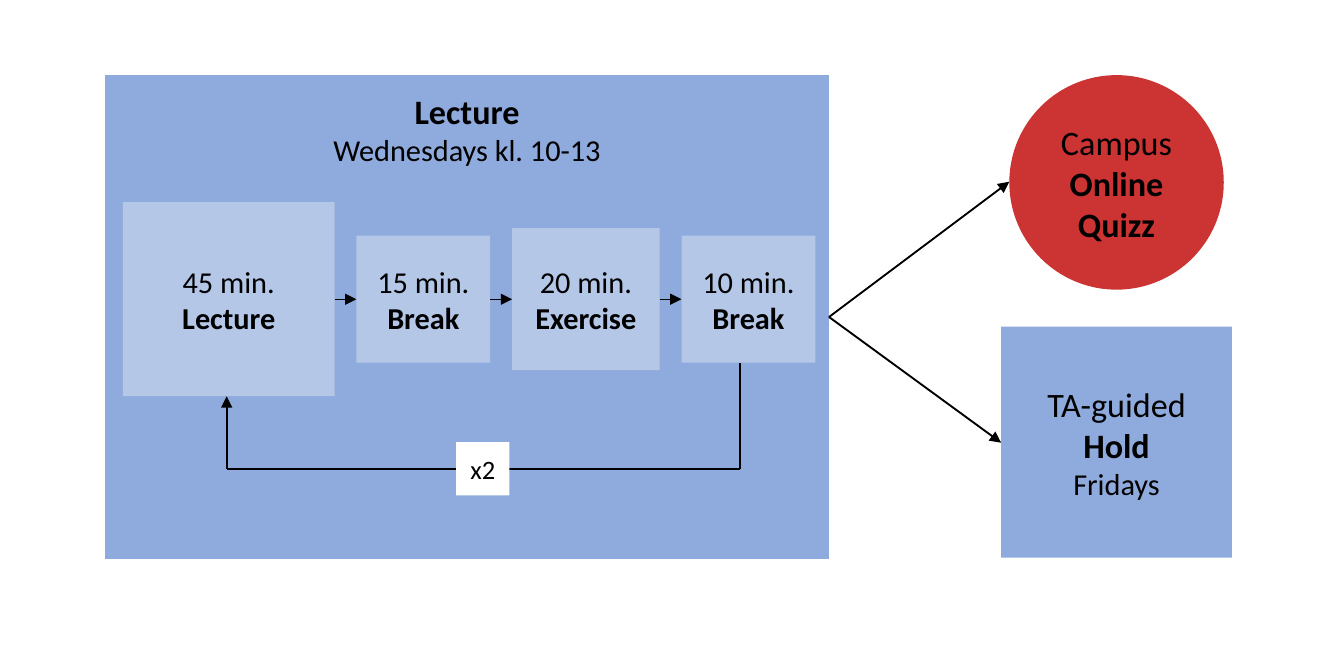
import pptx
import pptx.util
import pptx.dml.color
import pptx.enum.shapes
import pptx.enum.text
import pptx.oxml.ns
from lxml import etree
from pptx.util import Inches

COLORS = {"panel": "8FAADC", "step": "B4C7E7", "quiz": "C00000",
          "white": "FFFFFF", "black": "000000"}
SHAPE = pptx.enum.shapes.MSO_SHAPE
ALIGN = pptx.enum.text.PP_ALIGN
qn = pptx.oxml.ns.qn


def rgb(name):
    return pptx.dml.color.RGBColor.from_string(COLORS[name])


def add_run(p, text, size=16, bold=False, color="black", font="Calibri"):
    r = p.add_run()
    r.text = text
    r.font.name = font
    r.font.size = pptx.util.Pt(size)
    r.font.bold = bold
    r.font.color.rgb = rgb(color)


class Diagram:
    """Draws styled boxes, text and lines on one slide."""

    def __init__(self, s):
        self.s = s

    def add_text(self, tf, paragraphs):
        for i, runs in enumerate(paragraphs):
            p = tf.paragraphs[0] if i == 0 else tf.add_paragraph()
            p.alignment = ALIGN.CENTER
            for text, style in runs:
                add_run(p, text, **style)

    def box(self, x, y, w, h, fill, paragraphs=(), kind=SHAPE.RECTANGLE, alpha=100, margin=0.1):
        sp = self.s.shapes.add_shape(kind, Inches(x), Inches(y), Inches(w), Inches(h))
        sp.shadow.inherit = False
        sp.fill.solid()
        sp.fill.fore_color.rgb = rgb(fill)
        sp.line.fill.background()
        if alpha < 100:
            color = sp.element.spPr.find(qn("a:solidFill")).find(qn("a:srgbClr"))
            etree.SubElement(color, qn("a:alpha")).set("val", str(alpha * 1000))
        tf = sp.text_frame
        tf.word_wrap = True
        tf.margin_left = tf.margin_right = Inches(margin)
        tf.vertical_anchor = pptx.enum.text.MSO_ANCHOR.MIDDLE
        self.add_text(tf, paragraphs)

    def label(self, x, y, w, h, paragraphs):
        tf = self.s.shapes.add_textbox(Inches(x), Inches(y), Inches(w), Inches(h)).text_frame
        tf.word_wrap = False
        tf.auto_size = pptx.enum.text.MSO_AUTO_SIZE.SHAPE_TO_FIT_TEXT
        self.add_text(tf, paragraphs)

    def line(self, start, end, width=1, arrow=True):
        c = self.s.shapes.add_connector(pptx.enum.shapes.MSO_CONNECTOR.STRAIGHT,
                                        *map(Inches, start + end))
        c.line.width = pptx.util.Pt(width)
        c.line.color.rgb = rgb("black")
        spPr = c.element.spPr
        if arrow:
            etree.SubElement(spPr.find(qn("a:ln")), qn("a:tailEnd")).set("type", "triangle")
        etree.SubElement(spPr, qn("a:effectLst"))


prs = pptx.Presentation()
prs.slide_width, prs.slide_height = Inches(9.84), Inches(4.72)
d = Diagram(prs.slides.add_slide(prs.slide_layouts[6]))

bold = {"bold": True}
big = {"size": 18}
big_bold = {"size": 18, "bold": True}

d.box(0.77, 0.55, 5.3, 3.54, "panel")
d.label(2.33, 0.61, 2.18, 0.58, [[("Lecture", big_bold)], [("Wednesdays kl. 10-13", {})]])

steps = [("45 min.", "Lecture", 1.55, 1.42), ("15 min.", "Break", 0.98, 0.93),
         ("20 min.", "Exercise", 1.08, 1.04), ("10 min.", "Break", 0.98, 0.93)]
x, mid, gap = 0.9, 2.19, 0.16
for i, (time, name, w, h) in enumerate(steps):
    if i:
        d.line((x - gap, mid), (x, mid), width=0.5)
    d.box(x, mid - h / 2, w, h, "step", [[(time, {})], [(name, bold)]])
    x += w + gap

loop_left, loop_right, loop_y = 1.66, 5.42, 3.43
mark_x, mark = 3.34, 0.39
d.line((loop_right, 2.66), (loop_right, loop_y), arrow=False)
d.line((loop_right, loop_y), (mark_x + mark, loop_y), arrow=False)
d.line((mark_x, loop_y), (loop_left, loop_y), arrow=False)
d.line((loop_left, loop_y), (loop_left, 2.9))
d.box(mark_x, loop_y - mark / 2, mark, mark, "white", [[("x2", {"size": 14})]], margin=0)

fork = (6.07, 2.32)
d.box(7.39, 0.55, 1.57, 1.57, "quiz", [[("Campus", big), (" Online Quizz", big_bold)]],
      kind=SHAPE.OVAL, alpha=80)
d.box(7.33, 2.39, 1.69, 1.69, "panel",
      [[("TA-guided ", big), ("Hold", big_bold)], [("Fridays", {})]])
d.line(fork, (7.39, 1.33))
d.line(fork, (7.33, 3.24))

prs.save("out.pptx")
